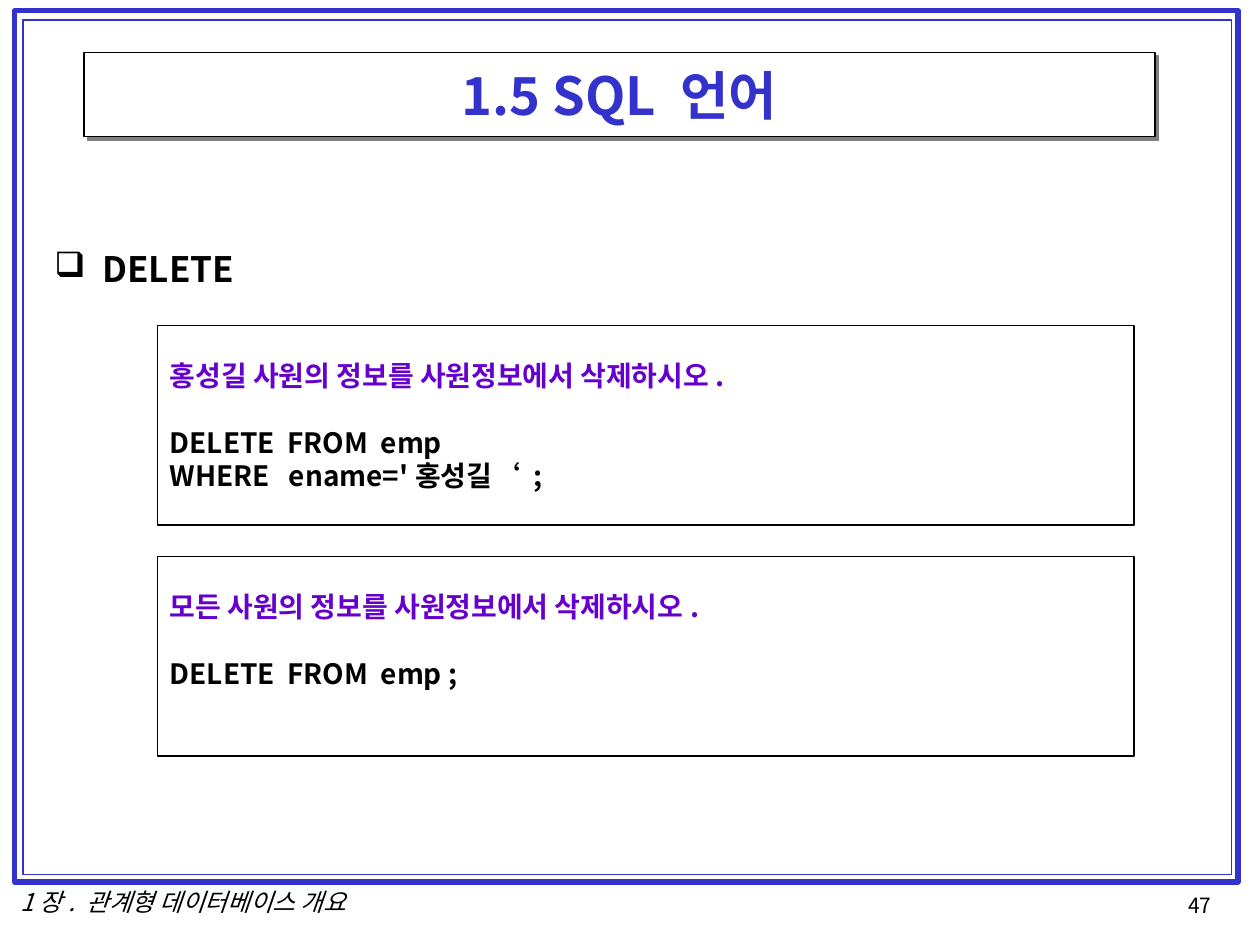
from lxml import etree
from pptx import Presentation
from pptx.dml.color import RGBColor
from pptx.enum.shapes import MSO_SHAPE
from pptx.enum.text import MSO_ANCHOR, PP_ALIGN
from pptx.oxml.ns import qn
from pptx.util import Inches, Pt

RECTANGLE = MSO_SHAPE.RECTANGLE
TOP, MIDDLE = MSO_ANCHOR.TOP, MSO_ANCHOR.MIDDLE
LEFT, CENTER = PP_ALIGN.LEFT, PP_ALIGN.CENTER
COLORS = {"blue": "3333CC", "violet": "6600CC", "black": "000000", "white": "FFFFFF", "gray": "808080"}


class SlideStyle:
    font = "Noto Sans CJK KR"
    serif = "Times New Roman"
    columns, rows = 120, 90
    line_ratio = 1.2

    def __init__(self, deck):
        self.deck = deck
        self.page = deck.slides.add_slide(deck.slide_layouts[6])

    def place(self, left, top, width, height):
        column = self.deck.slide_width / self.columns
        row = self.deck.slide_height / self.rows
        return int(left * column), int(top * row), int(width * column), int(height * row)

    def color(self, name):
        return RGBColor.from_string(COLORS[name])

    def rectangle(self, area, line, weight, fill=None):
        box = self.page.shapes.add_shape(RECTANGLE, *self.place(*area))
        box.shadow.inherit = False
        box.line.color.rgb = self.color(line)
        box.line.width = Pt(weight)
        if fill:
            box.fill.solid()
            box.fill.fore_color.rgb = self.color(fill)
        else:
            box.fill.background()
        return box

    def textbox(self, area, wrap=True):
        box = self.page.shapes.add_textbox(*self.place(*area))
        box.text_frame.word_wrap = wrap
        return box

    def shadow(self, box):
        effects = box._element.spPr.find(qn("a:effectLst"))
        outer = etree.SubElement(effects, qn("a:outerShdw"), dist=str(Pt(2.8)), dir="2700000",
                                 algn="ctr", rotWithShape="0")
        etree.SubElement(outer, qn("a:srgbClr"), val=COLORS["gray"])

    def paragraph(self, box, spans, size, color="black", bold=False, italic=False,
                  align=LEFT, before=0, bullet=None):
        frame = box.text_frame
        para = frame.paragraphs[0] if not frame.text else frame.add_paragraph()
        para.alignment = align
        para.line_spacing = Pt(size * self.line_ratio)
        para.space_before = Pt(before)
        if bullet:
            indent = Inches(0.38)
            properties = para._p.get_or_add_pPr()
            properties.set("marL", str(indent))
            properties.set("indent", str(-indent))
            etree.SubElement(properties, qn("a:buChar"), char=bullet)
        for text, font in spans:
            span = para.add_run()
            span.text = text
            span.font.name = font
            span.font.size = Pt(size)
            span.font.bold = bold
            span.font.italic = italic
            span.font.color.rgb = self.color(color)
            etree.SubElement(span._r.get_or_add_rPr(), qn("a:ea"), typeface=self.font)

    def example(self, top, task, statements):
        size = 16
        box = self.rectangle((15, top, 93, 19), "black", 0.75)
        frame = box.text_frame
        frame.vertical_anchor = TOP
        frame.margin_top = Inches(0.26)
        self.paragraph(box, [(task, self.font)], size, "violet", bold=True)
        for index, spans in enumerate(statements):
            gap = 0 if index else size * self.line_ratio
            self.paragraph(box, spans, size, bold=True, before=gap)


def main():
    deck = Presentation()
    deck.slide_width, deck.slide_height = Inches(10), Inches(7.5)
    style = SlideStyle(deck)
    font = style.font

    number = style.textbox((112, 84.4, 5.3, 3.6), wrap=False)
    style.paragraph(number, [("47", font)], 12)
    footer = style.textbox((0, 83.9, 34.9, 4))
    style.paragraph(footer, [("1장. 관계형 데이터베이스 개요", font)], 14, italic=True, align=CENTER)

    style.rectangle((1.4, 1, 116.5, 83), "blue", 3)
    style.rectangle((2.2, 1.9, 115.1, 81.4), "blue", 1)

    title = style.rectangle((8, 5, 102, 8), "black", 0.75, "white")
    style.shadow(title)
    title.text_frame.vertical_anchor = MIDDLE
    style.paragraph(title, [("1.5 SQL 언어", font)], 30, "blue", bold=True, align=CENTER)

    body = style.textbox((4, 23, 112, 58))
    style.paragraph(body, [("DELETE", font)], 20, bold=True, bullet="❑")

    style.example(31, "홍성길 사원의 정보를 사원정보에서 삭제하시오.", [
        [("DELETE  FROM  emp", font)],
        [("WHERE   ename='홍성길", font), ("‘ ", style.serif), (";", font)],
    ])
    style.example(53, "모든 사원의 정보를 사원정보에서 삭제하시오.", [
        [("DELETE  FROM  emp ;", font)],
    ])
    deck.save("out.pptx")


if __name__ == "__main__":
    main()
